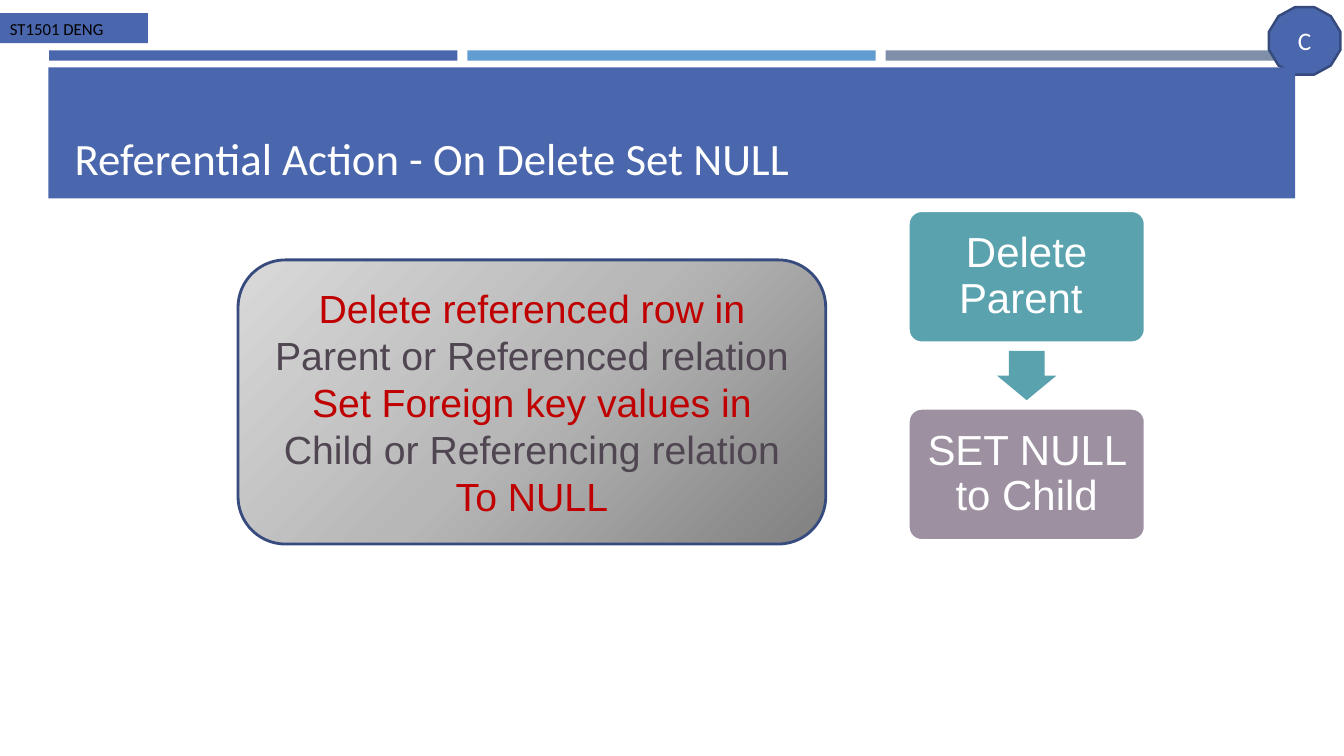
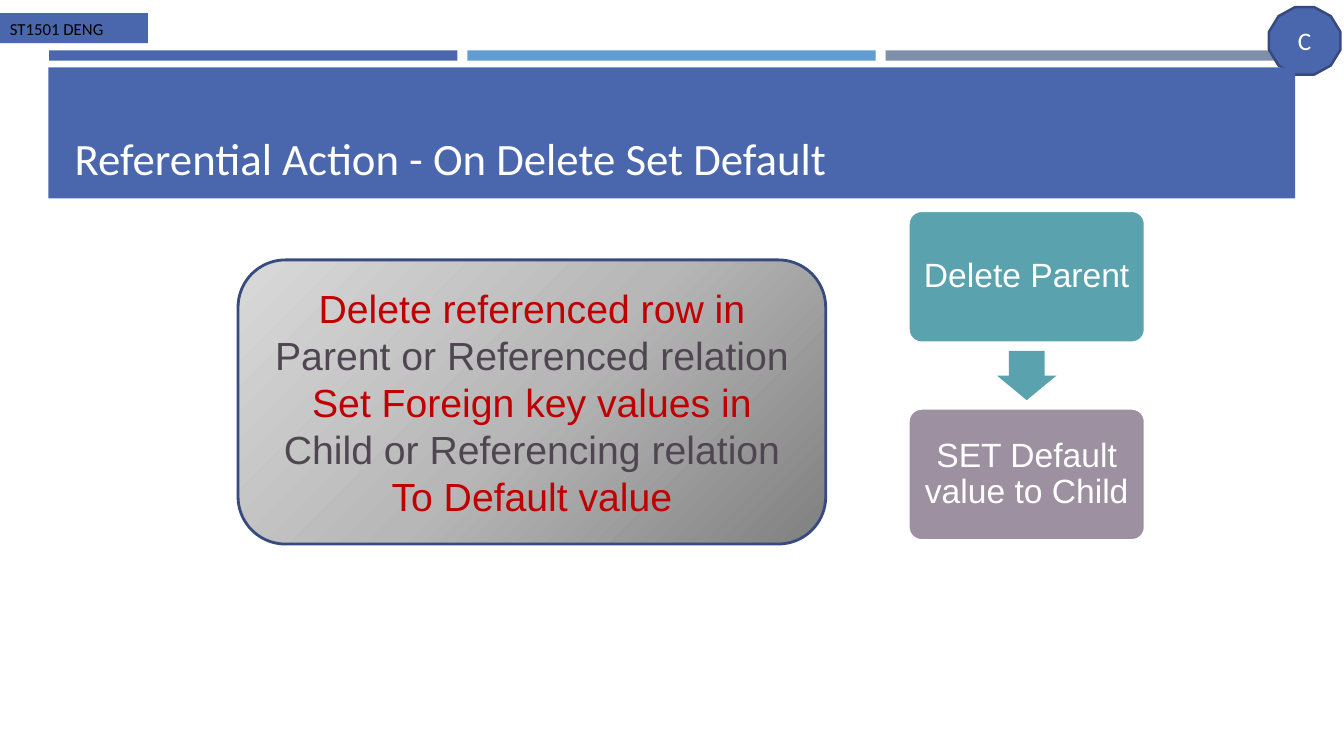
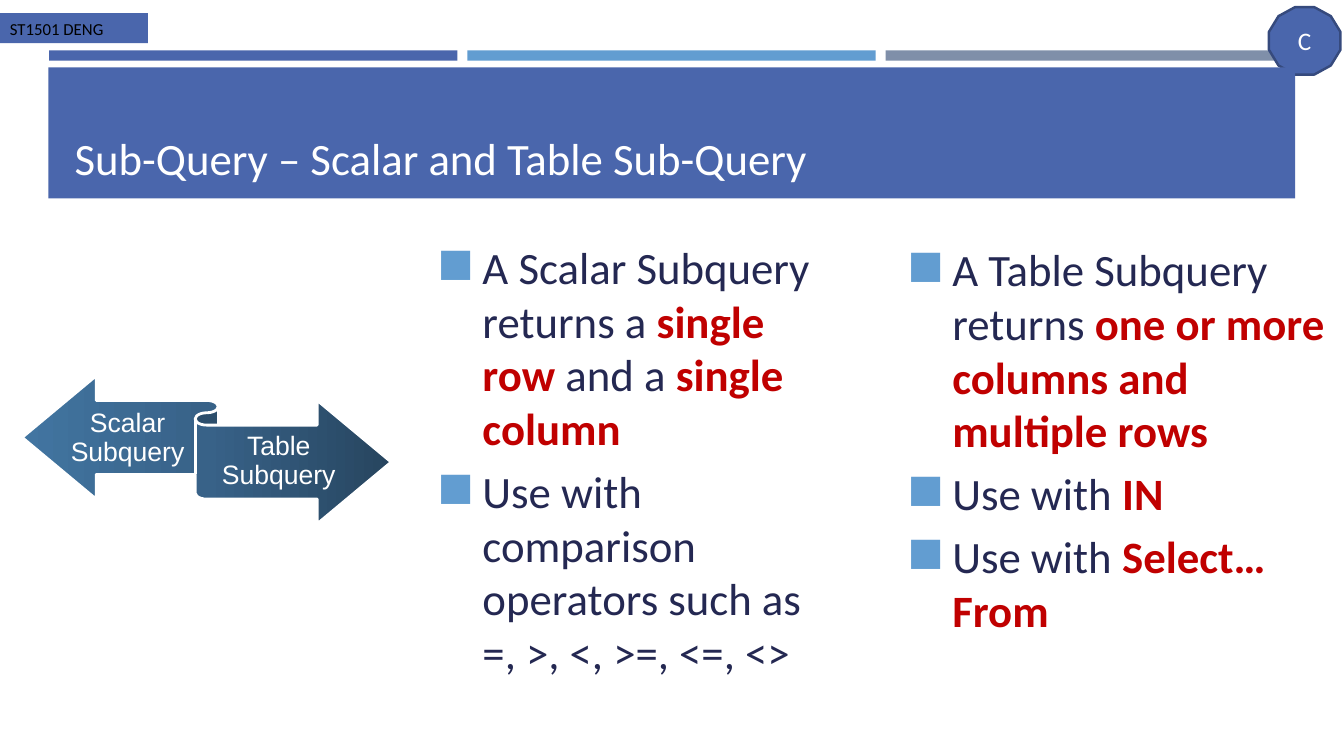
"""Build three database lecture slides on referential actions and sub-queries."""
import dataclasses

import lxml.etree
import pptx
import pptx.dml.color
import pptx.enum.shapes
import pptx.enum.text
import pptx.oxml.ns
import pptx.util

Cm = pptx.util.Cm
Pt = pptx.util.Pt
SHAPE = pptx.enum.shapes.MSO_SHAPE
ALIGN = pptx.enum.text.PP_ALIGN
ANCHOR = pptx.enum.text.MSO_ANCHOR
qn = pptx.oxml.ns.qn


@dataclasses.dataclass(frozen=True)
class Theme:
    blue: str = "4A66AC"
    sky: str = "629DD1"
    slate: str = "7F8FA9"
    badge_line: str = "364A7D"
    panel_line: str = "374B7F"
    teal: str = "5AA2AE"
    mauve: str = "9D90A0"
    navy: str = "242852"
    red: str = "C00000"
    plum: str = "504652"
    white: str = "FFFFFF"
    black: str = "000000"
    panel_stops: tuple = ((0, "808080"), (50, "B7B7B7"), (100, "D9D9D9"))
    ribbon_stops: tuple = ((0, "27455F"), (50, "386288"), (100, "4275A1"))
    head_font: str = "Calibri"
    body_font: str = "Arial"
    title_size: int = 32
    list_size: int = 32
    panel_size: int = 28
    ribbon_size: int = 19
    badge_size: int = 18
    tag_size: int = 12


class Deck:
    def __init__(self, theme):
        self.theme = theme
        self.prs = pptx.Presentation()
        self.prs.slide_width, self.prs.slide_height = Cm(33.87), Cm(19.05)
        self.s = None

    def color(self, value):
        return pptx.dml.color.RGBColor.from_string(value)

    def style(self, runs, size, color, font, bold=False):
        for r in runs:
            r.font.size, r.font.name, r.font.bold = Pt(size), font, bold
            r.font.color.rgb = self.color(color)

    def frame(self, tf, anchor, inset_x=0.25, inset_y=0.13, wrap=True):
        tf.word_wrap = wrap
        tf.auto_size = pptx.enum.text.MSO_AUTO_SIZE.NONE
        tf.vertical_anchor = anchor
        tf.margin_left = tf.margin_right = Cm(inset_x)
        tf.margin_top = tf.margin_bottom = Cm(inset_y)

    def shape(self, kind, box, fill=None, line=None, line_width=2, adjust=()):
        sp = self.s.shapes.add_shape(kind, *map(Cm, box))
        sp.shadow.inherit = False
        for i, value in enumerate(adjust):
            sp.adjustments[i] = value
        if fill:
            sp.fill.solid()
            sp.fill.fore_color.rgb = self.color(fill)
        if line:
            sp.line.color.rgb = self.color(line)
            sp.line.width = Pt(line_width)
        else:
            sp.line.fill.background()
        return sp

    def gradient(self, sp, stops, direction, attributes, focus=None):
        sp.fill.gradient()
        grad = sp.element.spPr.find(qn("a:gradFill"))
        for child in list(grad):
            grad.remove(child)
        sub = lxml.etree.SubElement
        stop_list = sub(grad, qn("a:gsLst"))
        for position, value in stops:
            stop = sub(stop_list, qn("a:gs"), pos=str(position * 1000))
            sub(stop, qn("a:srgbClr"), val=value)
        shade = sub(grad, qn(direction), attributes)
        if focus:
            sub(shade, qn("a:fillToRect"), focus)

    def label(self, sp, text, size, color, font, align=ALIGN.CENTER, spacing=None):
        sp.text_frame.text = text
        for p in sp.text_frame.paragraphs:
            p.alignment = align
            p.line_spacing = spacing
            self.style(p.runs, size, color, font)

    def slide(self, title):
        t = self.theme
        self.s = self.prs.slides.add_slide(self.prs.slide_layouts[5])
        for i, fill in enumerate((t.blue, t.sky, t.slate)):
            self.shape(SHAPE.RECTANGLE, (1.24 + i * 10.54, 1.27, 10.29, 0.26), fill)
        badge = self.shape(SHAPE.DODECAGON, (31.98, 0.18, 1.8, 1.7), t.blue, t.badge_line, 1.75)
        self.frame(badge.text_frame, ANCHOR.MIDDLE)
        self.label(badge, "C", t.badge_size, t.white, t.head_font)
        tag = self.shape(SHAPE.RECTANGLE, (0, 0.33, 3.73, 0.76), t.blue)
        self.frame(tag.text_frame, ANCHOR.TOP)
        self.label(tag, "ST1501 DENG", t.tag_size, t.black, t.head_font, ALIGN.LEFT)
        self.shape(SHAPE.RECTANGLE, (1.22, 1.7, 31.42, 3.3), t.blue)
        sp = self.s.shapes.title
        sp.left, sp.top, sp.width, sp.height = map(Cm, (1.63, 1.96, 30.63, 2.82))
        self.frame(sp.text_frame, ANCHOR.BOTTOM)
        self.label(sp, title, t.title_size, t.white, t.head_font, ALIGN.LEFT)
        sp.element.getparent().append(sp.element)

    def panel(self, lines):
        t = self.theme
        sp = self.shape(SHAPE.ROUNDED_RECTANGLE, (6, 6.55, 14.81, 7.16), line=t.panel_line)
        self.gradient(sp, t.panel_stops, "a:path", {"path": "circle"},
                      {"l": "100000", "t": "100000"})
        self.frame(sp.text_frame, ANCHOR.MIDDLE, wrap=False)
        self.label(sp, "\n".join(lines), t.panel_size, t.red, t.body_font)
        for p in sp.text_frame.paragraphs[1::2]:
            self.style(p.runs, t.panel_size, t.plum, t.body_font)

    def steps(self, texts, size, inset):
        t = self.theme
        left, top, width, height, pitch = 22.89, 5.31, 5.97, 3.33, 4.98
        arrow_w, arrow_h = 1.5, 1.24
        for i, (text, fill) in enumerate(zip(texts, (t.teal, t.mauve))):
            sp = self.shape(SHAPE.ROUNDED_RECTANGLE, (left, top + i * pitch, width, height),
                            fill, t.white, adjust=(0.1,))
            self.frame(sp.text_frame, ANCHOR.MIDDLE, inset, inset)
            self.label(sp, text, size, t.white, t.body_font, spacing=0.9)
        arrow_top = top + (height + pitch - arrow_h) / 2
        self.shape(SHAPE.DOWN_ARROW, (left + (width - arrow_w) / 2, arrow_top, arrow_w, arrow_h),
                   t.teal, adjust=(0.6, 0.5))

    def ribbon(self, labels):
        t = self.theme
        sp = self.shape(SHAPE.LEFT_RIGHT_RIBBON, (0.56, 9.47, 9.3, 3.73), line=t.white)
        self.gradient(sp, t.ribbon_stops, "a:lin", {"ang": "10800000", "scaled": "0"})
        for text, box in labels:
            tb = self.s.shapes.add_textbox(*map(Cm, box))
            self.frame(tb.text_frame, ANCHOR.MIDDLE, 0, 0.19)
            self.label(tb, text, t.ribbon_size, t.white, t.body_font, spacing=0.9)

    def bullets(self, box, items):
        t = self.theme
        tf = self.s.shapes.add_textbox(*map(Cm, box)).text_frame
        self.frame(tf, ANCHOR.MIDDLE)
        for i, item in enumerate(items):
            p = tf.add_paragraph() if i else tf.paragraphs[0]
            p.space_before = Pt(6.4)
            for j, text in enumerate(item):
                r = p.add_run()
                r.text = text
                strong = j % 2 == 1
                self.style([r], t.list_size, t.red if strong else t.navy, t.head_font, strong)
            pPr = p._p.get_or_add_pPr()
            pPr.set("marL", str(Cm(1.27)))
            pPr.set("indent", str(Cm(-1.14)))
            mark = lxml.etree.SubElement(pPr, qn("a:buClr"))
            lxml.etree.SubElement(mark, qn("a:srgbClr"), val=t.sky)
            lxml.etree.SubElement(pPr, qn("a:buChar"), char="◼")


def main():
    deck = Deck(Theme())
    actions = (
        ("NULL", "To NULL", "SET NULL to Child", 30, 0.3),
        ("Default", "To Default value", "SET Default value to Child", 24, 0.25),
    )
    for name, result, step, size, inset in actions:
        deck.slide(f"Referential Action - On Delete Set {name}")
        deck.panel(("Delete referenced row in", "Parent or Referenced relation",
                    "Set Foreign key values in", "Child or Referencing relation", result))
        deck.steps(("Delete Parent ", step), size, inset)

    deck.slide("Sub-Query – Scalar and Table Sub-Query")
    deck.ribbon((("Scalar Subquery", (1.68, 10.13, 3.07, 1.83)),
                 ("Table Subquery", (5.21, 10.72, 3.63, 1.83))))
    deck.bullets((10.64, 6.07, 10.29, 11), (
        ("A Scalar Subquery returns a ", "single row ", "and a ", "single column"),
        ("Use with comparison operators such as =, >, <, >=, <=, <>",),
    ))
    deck.bullets((22.48, 6.07, 11.2, 9.98), (
        ("A Table Subquery returns ", "one or more columns and multiple rows"),
        ("Use with ", "IN"),
        ("Use with ", "Select…From"),
    ))
    deck.prs.save("out.pptx")


if __name__ == "__main__":
    main()
